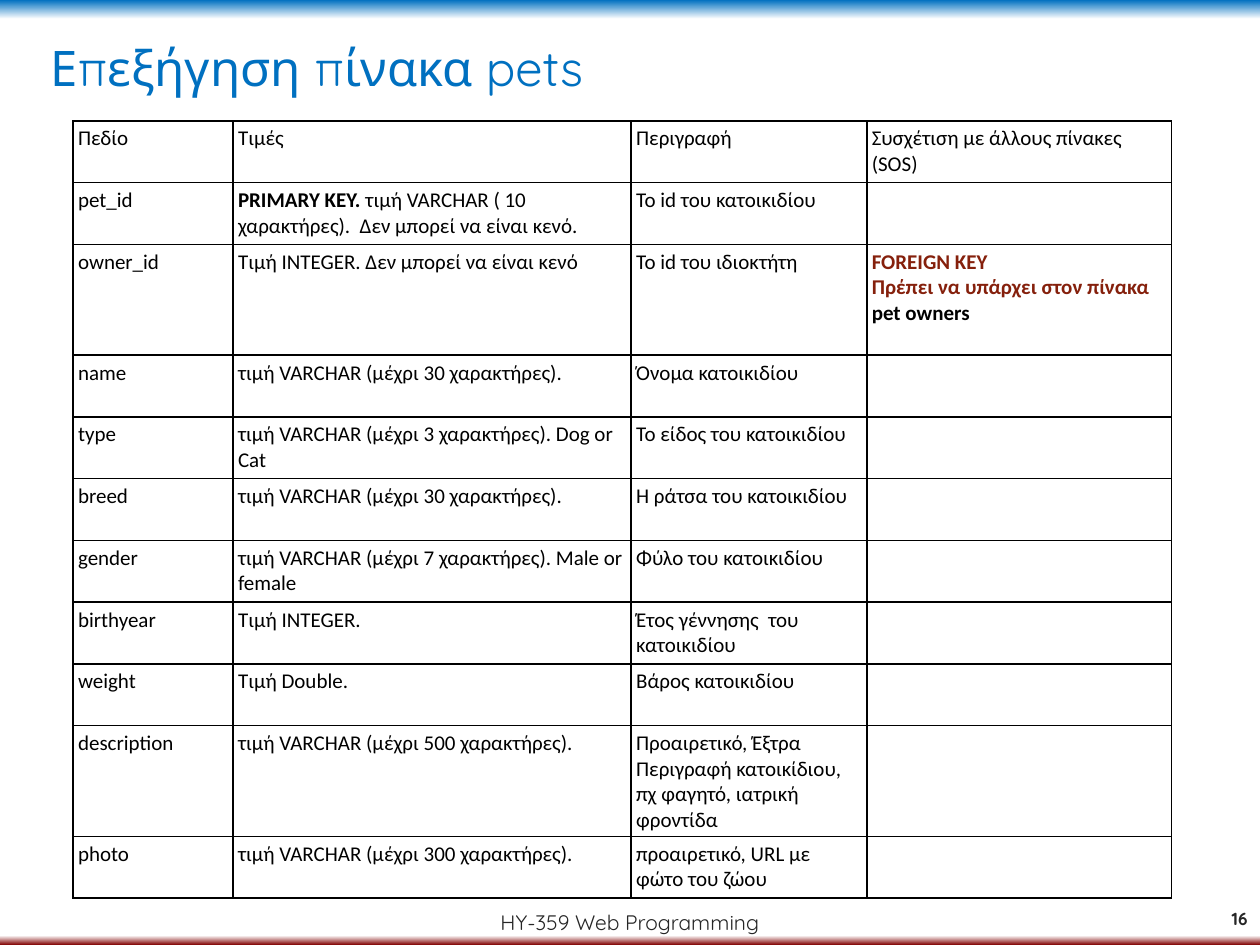
from lxml.etree import SubElement
from pptx import Presentation
from pptx.dml.color import RGBColor
from pptx.enum.shapes import MSO_SHAPE
from pptx.enum.text import MSO_ANCHOR, MSO_AUTO_SIZE, PP_ALIGN
from pptx.oxml import parse_xml
from pptx.oxml.ns import nsdecls, qn
from pptx.util import Inches, Pt

COLORS = {
    "blue": "0070C0",
    "white": "FFFFFF",
    "maroon": "800000",
    "gray": "262626",
    "black": "000000",
    "key": "85200C",
}
BACKGROUND_STOPS = [(0, "blue"), (2, "white"), (99, "white"), (100, "maroon")]
TITLE_FORMAT = {"name": "Quicksand", "size": Pt(28), "bold": False}
FOOTER_FORMAT = {"name": "Quicksand", "size": Pt(12), "bold": False}
NUMBER_FORMAT = {"name": "Quicksand", "size": Pt(10), "bold": True}
CELL_FORMAT = {"name": "Calibri", "size": Pt(12), "bold": False}
BOLD_FORMAT = {**CELL_FORMAT, "bold": True}

COLUMN_WIDTHS = [1.27, 3.16, 1.87, 2.42]
ROW_HEIGHT = 0.49
TALL_ROW_HEIGHT = 0.88
TALL_FIELDS = ("owner_id", "description")

PRIMARY_KEY = [[
    ("PRIMARY KEY. ", "black", BOLD_FORMAT),
    ("τιμή VARCHAR ( 10 χαρακτήρες).  Δεν μπορεί να είναι κενό.", "black", CELL_FORMAT),
]]
FOREIGN_KEY = [
    [("FOREIGN KEY", "key", BOLD_FORMAT)],
    [
        ("Πρέπει να υπάρχει στον πίνακα ", "key", BOLD_FORMAT),
        ("pet owners", "black", BOLD_FORMAT),
    ],
]
ROWS = [
    ("Πεδίο", "Τιμές", "Περιγραφή", "Συσχέτιση με άλλους πίνακες (SOS)"),
    ("pet_id", PRIMARY_KEY, "Το id του κατοικιδίου", ""),
    ("owner_id", "Τιμή INTEGER. Δεν μπορεί να είναι κενό", "Το id του ιδιοκτήτη", FOREIGN_KEY),
    ("name", "τιμή VARCHAR (μέχρι 30 χαρακτήρες).", "Όνομα κατοικιδίου", ""),
    ("type", "τιμή VARCHAR (μέχρι 3 χαρακτήρες). Dog or Cat", "Το είδος του κατοικιδίου", ""),
    ("breed", "τιμή VARCHAR (μέχρι 30 χαρακτήρες).", "Η ράτσα του κατοικιδίου", ""),
    ("gender", "τιμή VARCHAR (μέχρι 7 χαρακτήρες). Male or female", "Φύλο του κατοικιδίου", ""),
    ("birthyear", "Τιμή INTEGER.", "Έτος γέννησης  του κατοικιδίου", ""),
    ("weight", "Τιμή Double.", "Βάρος κατοικιδίου", ""),
    (
        "description",
        "τιμή VARCHAR (μέχρι 500 χαρακτήρες).",
        "Προαιρετικό, Έξτρα Περιγραφή κατοικίδιου, πχ φαγητό, ιατρική φροντίδα",
        "",
    ),
    ("photo", "τιμή VARCHAR (μέχρι 300 χαρακτήρες).", "προαιρετικό, URL με φώτο του ζώου", ""),
]


def set_attributes(target, values):
    """Set every attribute named in a dict."""
    for name, value in values.items():
        setattr(target, name, value)


def place(shape, left, top, width, height):
    """Position a shape in inches."""
    names = ("left", "top", "width", "height")
    sizes = (left, top, width, height)
    set_attributes(shape, {name: Inches(size) for name, size in zip(names, sizes)})


def add_run(paragraph, text, color, font_format):
    """Append a formatted run to a paragraph."""
    run = paragraph.add_run()
    run.text = text
    set_attributes(run.font, font_format)
    run.font.color.rgb = RGBColor.from_string(COLORS[color])


def set_background(slide):
    """Fill the background with the vertical banded gradient."""
    fill = slide.background.fill
    fill.gradient()
    fill.gradient_angle = 270
    stop_list = slide.background._cSld.find(".//" + qn("a:gsLst"))
    for stop in list(stop_list):
        stop_list.remove(stop)
    for position, color in BACKGROUND_STOPS:
        stop = SubElement(stop_list, qn("a:gs"), pos=str(position * 1000))
        SubElement(stop, qn("a:srgbClr"), val=COLORS[color])


def format_title(slide, text):
    """Fill and place the title placeholder."""
    title = slide.shapes.title
    place(title, 0.3, 0.25, 9.41, 0.71)
    frame = title.text_frame
    set_attributes(frame, {
        "word_wrap": True,
        "auto_size": MSO_AUTO_SIZE.NONE,
        "vertical_anchor": MSO_ANCHOR.TOP,
    })
    frame.paragraphs[0].alignment = PP_ALIGN.LEFT
    add_run(frame.paragraphs[0], text, "blue", TITLE_FORMAT)


def add_panel(slide):
    """Add the white content panel behind the title."""
    panel = slide.shapes.add_shape(
        MSO_SHAPE.RECTANGLE, Inches(0.5), Inches(0.36), Inches(9.22), Inches(6.76)
    )
    panel.shadow.inherit = False
    panel.fill.solid()
    panel.fill.fore_color.rgb = RGBColor.from_string(COLORS["white"])
    panel.line.fill.background()
    slide.shapes.title.element.addprevious(panel.element)


def add_label(slide, text, position, alignment, font_format):
    """Add a one-line text box at the foot of the slide."""
    box = slide.shapes.add_textbox(*map(Inches, position))
    frame = box.text_frame
    set_attributes(frame, {"word_wrap": True, "vertical_anchor": MSO_ANCHOR.MIDDLE})
    frame.paragraphs[0].alignment = alignment
    add_run(frame.paragraphs[0], text, "gray", font_format)


def add_borders(cell):
    """Draw a thin black line on each side of a cell."""
    properties = cell._tc.get_or_add_tcPr()
    for index, side in enumerate(("lnL", "lnR", "lnT", "lnB")):
        line = parse_xml(
            f'<a:{side} {nsdecls("a")} w="{Pt(1)}"><a:solidFill>'
            f'<a:srgbClr val="{COLORS["black"]}"/></a:solidFill></a:{side}>'
        )
        properties.insert(index, line)


def fill_cell(cell, content):
    """Format a cell and write its text or its list of paragraphs."""
    sides = ("left", "right", "top", "bottom")
    set_attributes(cell, {f"margin_{side}": Inches(0.04) for side in sides})
    cell.vertical_anchor = MSO_ANCHOR.TOP
    cell.fill.background()
    add_borders(cell)
    if not content:
        return
    if isinstance(content, str):
        content = [[(content, "black", CELL_FORMAT)]]
    frame = cell.text_frame
    for index, runs in enumerate(content):
        paragraph = frame.add_paragraph() if index else frame.paragraphs[0]
        for run in runs:
            add_run(paragraph, *run)


def add_fields_table(slide):
    """Add the table that explains each field."""
    heights = [TALL_ROW_HEIGHT if row[0] in TALL_FIELDS else ROW_HEIGHT for row in ROWS]
    table = slide.shapes.add_table(
        len(ROWS), len(COLUMN_WIDTHS), Inches(0.58), Inches(0.96),
        Inches(sum(COLUMN_WIDTHS)), Inches(sum(heights)),
    ).table
    set_attributes(table, {"first_row": False, "horz_banding": False})
    for column, width in zip(table.columns, COLUMN_WIDTHS):
        column.width = Inches(width)
    for row, height, contents in zip(table.rows, heights, ROWS):
        row.height = Inches(height)
        for cell, content in zip(row.cells, contents):
            fill_cell(cell, content)


def main():
    """Build and save the slide."""
    presentation = Presentation()
    set_attributes(presentation, {"slide_width": Inches(10), "slide_height": Inches(7.5)})
    slide = presentation.slides.add_slide(presentation.slide_layouts[5])
    set_background(slide)
    format_title(slide, "Επεξήγηση πίνακα pets")
    add_panel(slide)
    add_label(slide, "HY-359 Web Programming", (0, 7.09, 10, 0.45), PP_ALIGN.CENTER, FOOTER_FORMAT)
    add_label(slide, "16", (9.46, 7.09, 0.54, 0.4), PP_ALIGN.RIGHT, NUMBER_FORMAT)
    add_fields_table(slide)
    presentation.save("out.pptx")


if __name__ == "__main__":
    main()
